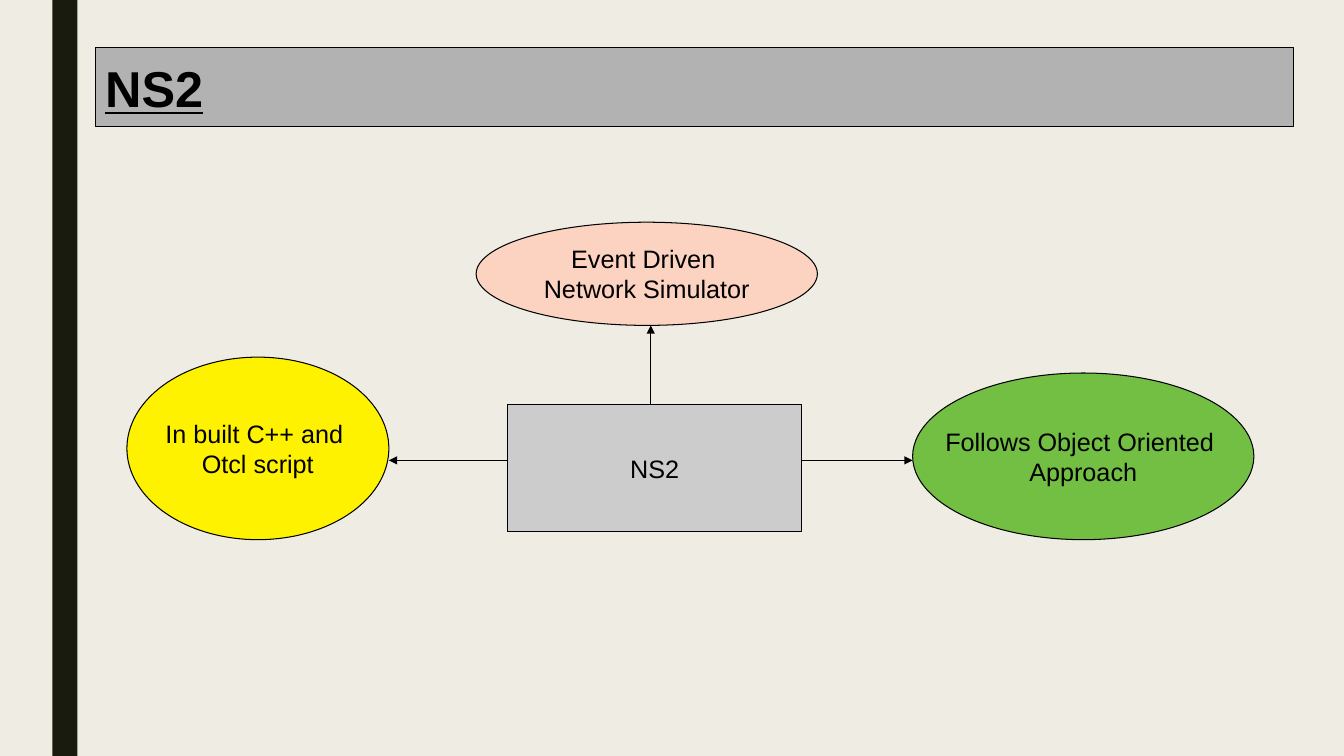
"""Build the NS2 overview slide: a central box with arrows to three features."""
from pptx import Presentation
from pptx.dml.color import RGBColor
from pptx.enum.shapes import MSO_CONNECTOR, MSO_SHAPE
from pptx.enum.text import MSO_ANCHOR, PP_ALIGN
from pptx.oxml.ns import qn
from pptx.util import Cm, Pt
from lxml.etree import SubElement

COLORS = {
    "background": "EFEDE3", "bar": "191B0E", "title": "B2B2B2", "box": "CCCCCC",
    "approach": "72BF44", "script": "FFF200", "simulator": "FCD3C1", "ink": "000000",
}


def rgb(name):
    return RGBColor.from_string(COLORS[name])


def add_label(kind, color, box, lines, size=18, align=PP_ALIGN.CENTER):
    sp = s.shapes.add_shape(kind, *map(Cm, box))
    sp.shadow.inherit = False
    sp.fill.solid()
    sp.fill.fore_color.rgb = rgb(color)
    sp.line.color.rgb = rgb("ink")
    sp.line.width = Pt(0.75)
    tf = sp.text_frame
    tf.word_wrap = False
    tf.vertical_anchor = MSO_ANCHOR.MIDDLE
    tf.text = "\n".join(lines)
    for p in tf.paragraphs:
        p.alignment = align
        p.font.name = "Arial"
        p.font.size = Pt(size)
        p.font.color.rgb = rgb("ink")
    return sp


prs = Presentation()
prs.slide_width, prs.slide_height = Cm(33.87), Cm(19.05)
s = prs.slides.add_slide(prs.slide_layouts[6])
s.background.fill.solid()
s.background.fill.fore_color.rgb = rgb("background")

bar = s.shapes.add_shape(MSO_SHAPE.RECTANGLE, Cm(1.32), 0, Cm(0.63), prs.slide_height)
bar.shadow.inherit = False
bar.fill.solid()
bar.fill.fore_color.rgb = rgb("bar")
bar.line.fill.background()

title = add_label(MSO_SHAPE.RECTANGLE, "title", (2.4, 1.2, 30.2, 2), ["NS2"], 36, PP_ALIGN.LEFT)
title_font = title.text_frame.paragraphs[0].font
title_font.bold = title_font.underline = True

add_label(MSO_SHAPE.RECTANGLE, "box", (12.8, 10.2, 7.4, 3.2), ["NS2"])

features = [
    ("approach", (23, 9.4, 8.6, 4.2), ["Follows Object Oriented ", "Approach"], (20.2, 11.6, 23, 11.6)),
    ("script", (3.2, 9, 6.6, 4.6), ["In built C++ and ", "Otcl script"], (12.8, 11.6, 9.8, 11.6)),
    ("simulator", (12, 5.6, 8.6, 2.6), ["Event Driven ", "Network Simulator"], (16.4, 10.2, 16.4, 8.2)),
]
for color, box, lines, ends in features:
    arrow = s.shapes.add_connector(MSO_CONNECTOR.STRAIGHT, *map(Cm, ends))
    arrow.line.color.rgb = rgb("ink")
    arrow.line.width = Pt(0.75)
    SubElement(arrow.line._get_or_add_ln(), qn("a:tailEnd"), type="triangle")
    SubElement(arrow._element.spPr, qn("a:effectLst"))
    add_label(MSO_SHAPE.OVAL, color, box, lines)

prs.save("out.pptx")
